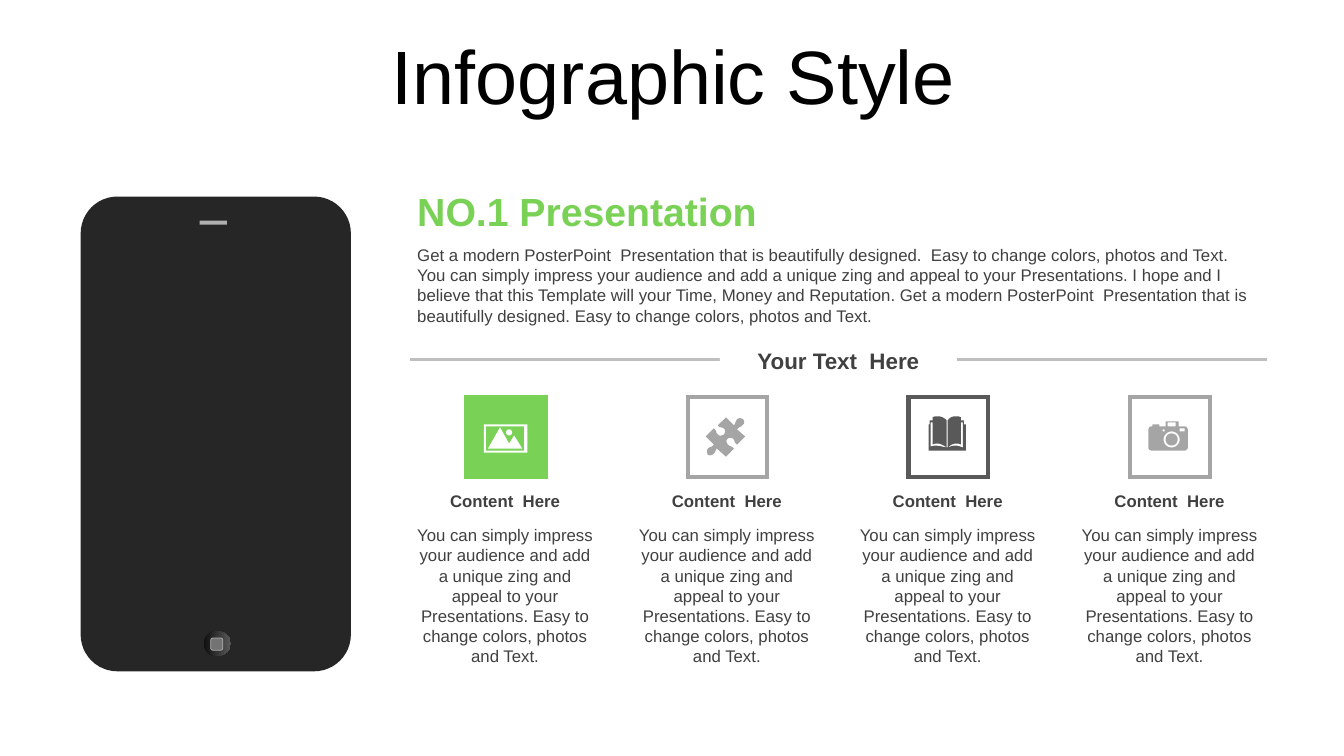
import math

from lxml import etree
from pptx import Presentation
from pptx.dml.color import RGBColor
from pptx.enum.shapes import MSO_CONNECTOR, MSO_SHAPE
from pptx.enum.text import MSO_ANCHOR, PP_ALIGN
from pptx.oxml.ns import qn
from pptx.util import Pt

PX = 9144
FONT = "Arial"
RECTANGLE = MSO_SHAPE.RECTANGLE
ROUNDED = MSO_SHAPE.ROUNDED_RECTANGLE
OVAL = MSO_SHAPE.OVAL
STRAIGHT = MSO_CONNECTOR.STRAIGHT
LEFT = PP_ALIGN.LEFT
CENTER = PP_ALIGN.CENTER
TOP = MSO_ANCHOR.TOP
MIDDLE = MSO_ANCHOR.MIDDLE

COLORS = {
    "black": "000000",
    "white": "FFFFFF",
    "green": "79D155",
    "text": "404040",
    "rule": "BFBFBF",
    "gray": "A5A5A5",
    "dark": "595959",
    "phone": "262626",
    "speaker": "B0B0B0",
    "button": "737373",
    "shade": "0F0F0F",
}

INTRO = (
    "Get a modern PosterPoint  Presentation that is beautifully designed.  "
    "Easy to change colors, photos and Text. You can simply impress your audience "
    "and add a unique zing and appeal to your Presentations. I hope and I believe "
    "that this Template will your Time, Money and Reputation. Get a modern "
    "PosterPoint  Presentation that is beautifully designed. Easy to change colors, "
    "photos and Text."
)
DETAIL = (
    "You can simply impress your audience and add a unique zing and appeal to "
    "your Presentations. Easy to change colors, photos and Text."
)


def color(name):
    return RGBColor.from_string(COLORS[name])


def box(left, top, right, bottom):
    return [(left, top), (right, top), (right, bottom), (left, bottom)]


def circle(center_x, center_y, radius):
    angles = [math.radians(step * 10) for step in range(36)]
    return [(center_x + radius * math.cos(a), center_y + radius * math.sin(a))
            for a in angles]


PICTURE_ICON = [
    box(480, 421, 523, 449),
    box(482, 423, 520, 447),
    [(496, 424), (505, 440), (510, 432), (518, 445), (484, 445)],
    circle(505, 429, 3),
]
PUZZLE_ICON = [[
    (737, 416), (738, 417, 739, 420, 737, 421), (735, 424, 733, 423, 731, 426),
    (739, 433), (731, 441), (728, 439, 729, 437, 727, 435),
    (725, 434, 723, 434, 722, 435), (720, 436, 720, 439, 722, 441),
    (724, 443, 725, 442, 728, 445), (720, 453), (711, 445),
    (709, 447, 710, 448, 708, 450), (706, 452, 703, 452, 702, 451),
    (701, 449, 701, 447, 702, 445), (704, 443, 706, 444, 708, 441),
    (700, 433), (708, 425), (711, 427, 710, 430, 712, 431),
    (714, 433, 716, 432, 718, 431), (719, 430, 720, 427, 718, 425),
    (715, 423, 714, 425, 712, 422), (720, 414), (728, 422),
    (730, 419, 729, 419, 731, 416), (733, 414, 736, 415, 737, 416),
]]
BOOK_ICON = [[
    (939, 444), (940, 444), (945, 442, 948, 441, 955, 444), (955, 419),
    (953, 419), (953, 441), (949, 439, 944, 440, 940, 444), (940, 417),
    (942, 414, 945, 413, 948, 413), (950, 413, 951, 413, 953, 414),
    (953, 417), (956, 417), (956, 421), (958, 421), (958, 447), (921, 447),
    (921, 421), (922, 421), (922, 417), (925, 417), (925, 414),
    (927, 413, 929, 413, 930, 413), (933, 413, 936, 414, 939, 417),
    (939, 444), (934, 440, 929, 439, 925, 441), (925, 419), (923, 419),
    (923, 443), (929, 441, 933, 443, 939, 444),
]]
CAMERA_ICON = [
    [(1157, 418), (1168, 418), (1169, 418, 1169, 418, 1169, 419), (1169, 423),
     (1175, 423), (1176, 423, 1178, 424, 1178, 426), (1178, 444),
     (1178, 446, 1176, 447, 1175, 447), (1142, 447),
     (1141, 447, 1139, 446, 1139, 444), (1139, 426),
     (1139, 424, 1141, 423, 1142, 423), (1143, 423), (1143, 422),
     (1143, 421, 1143, 421, 1144, 421), (1149, 421),
     (1149, 421, 1150, 421, 1150, 422), (1150, 423), (1156, 423), (1156, 419),
     (1156, 418, 1156, 418, 1157, 418)],
    box(1158, 419, 1166, 423),
    box(1153, 426, 1155, 428),
    box(1170, 425, 1175, 428),
    circle(1162, 436, 8),
    circle(1162, 436, 6),
]
COLUMNS = [
    (PICTURE_ICON, "white", "green", "green"),
    (PUZZLE_ICON, "gray", "white", "gray"),
    (BOOK_ICON, "dark", "white", "dark"),
    (CAMERA_ICON, "gray", "white", "gray"),
]


def flatten(contour):
    points = []
    for step in contour:
        if len(step) == 2:
            points.append(step)
            continue
        x0, y0 = points[-1]
        x1, y1, x2, y2, x3, y3 = step
        for part in range(1, 7):
            t = part / 6
            a, b, c, d = (1 - t) ** 3, 3 * t * (1 - t) ** 2, 3 * t * t * (1 - t), t ** 3
            points.append((a * x0 + b * x1 + c * x2 + d * x3,
                           a * y0 + b * y1 + c * y2 + d * y3))
    return [(round(x * PX), round(y * PX)) for x, y in points]


def add_icon(slide, contours, fill):
    outlines = [flatten(contour) for contour in contours]
    builder = slide.shapes.build_freeform(*outlines[0][0])
    builder.add_line_segments(outlines[0][1:])
    for outline in outlines[1:]:
        builder.move_to(*outline[0])
        builder.add_line_segments(outline[1:])
    shape = builder.convert_to_shape()
    shape.shadow.inherit = False
    shape.fill.solid()
    shape.fill.fore_color.rgb = color(fill)
    shape.line.fill.background()


def add_block(slide, kind, bounds, fill, line=None, width=0):
    shape = slide.shapes.add_shape(kind, *[value * PX for value in bounds])
    shape.shadow.inherit = False
    shape.fill.solid()
    shape.fill.fore_color.rgb = color(fill)
    if line:
        shape.line.color.rgb = color(line)
        shape.line.width = Pt(width)
        etree.SubElement(shape._element.spPr.find(qn("a:ln")), qn("a:miter"), lim="800000")
    else:
        shape.line.fill.background()
    return shape


def write(shape, text, size, ink="text", bold=False, align=LEFT, anchor=TOP):
    frame = shape.text_frame
    frame.word_wrap = True
    frame.vertical_anchor = anchor
    paragraph = frame.paragraphs[0]
    paragraph.alignment = align
    run = paragraph.add_run()
    run.text = text
    run.font.name = FONT
    run.font.size = Pt(size)
    run.font.bold = bold
    run.font.color.rgb = color(ink)
    return frame


def add_text(slide, bounds, *args, **kwargs):
    shape = slide.shapes.add_textbox(*[value * PX for value in bounds])
    return write(shape, *args, **kwargs)


def add_rule(slide, left, right, y):
    rule = slide.shapes.add_connector(STRAIGHT, left * PX, y * PX, right * PX, y * PX)
    rule.line.color.rgb = color("rule")
    rule.line.width = Pt(2)
    etree.SubElement(rule._element.spPr, qn("a:effectLst"))


def add_phone(slide):
    body = add_block(slide, ROUNDED, (80, 195, 268, 471), "phone")
    body.adjustments[0] = 0.136
    add_block(slide, RECTANGLE, (198, 219, 27, 4), "speaker")
    button = add_block(slide, OVAL, (202, 626, 27, 25), "shade")
    button.fill.gradient()
    button.fill.gradient_angle = 0
    for stop, name, position in zip(button.fill.gradient_stops, ("shade", "dark"), (0, 1)):
        stop.color.rgb = color(name)
        stop.position = position
    add_block(slide, ROUNDED, (209, 633, 12, 12), "button", "speaker", 0.5)


def add_column(slide, left, icon, ink, fill, line):
    add_block(slide, RECTANGLE, (left + 58, 394, 79, 79), fill, line, 3)
    add_icon(slide, icon, ink)
    add_text(slide, (left, 482, 194, 30), "Content  Here", 12, bold=True, align=CENTER)
    add_text(slide, (left - 1, 516, 196, 150), DETAIL, 12, align=CENTER)


def main():
    presentation = Presentation()
    presentation.slide_width = 1333 * PX
    presentation.slide_height = 750 * PX
    slide = presentation.slides.add_slide(presentation.slide_layouts[6])
    add_phone(slide)
    title = add_text(slide, (35, 37, 1266, 79), "Infographic Style", 54, "black",
                     align=CENTER, anchor=MIDDLE)
    title.margin_top = 10 * PX
    title.paragraphs[0].line_spacing = 0.9
    add_text(slide, (404, 181, 856, 57), "NO.1 Presentation", 28, "green", bold=True)
    add_text(slide, (404, 238, 856, 90), INTRO, 12)
    add_rule(slide, 407, 1257, 357)
    heading = add_block(slide, RECTANGLE, (714, 339, 235, 37), "white")
    write(heading, "Your Text  Here", 16, bold=True, align=CENTER)
    for index, column in enumerate(COLUMNS):
        add_column(slide, 404 + round(index * 659 / 3), *column)
    presentation.save("out.pptx")


if __name__ == "__main__":
    main()
